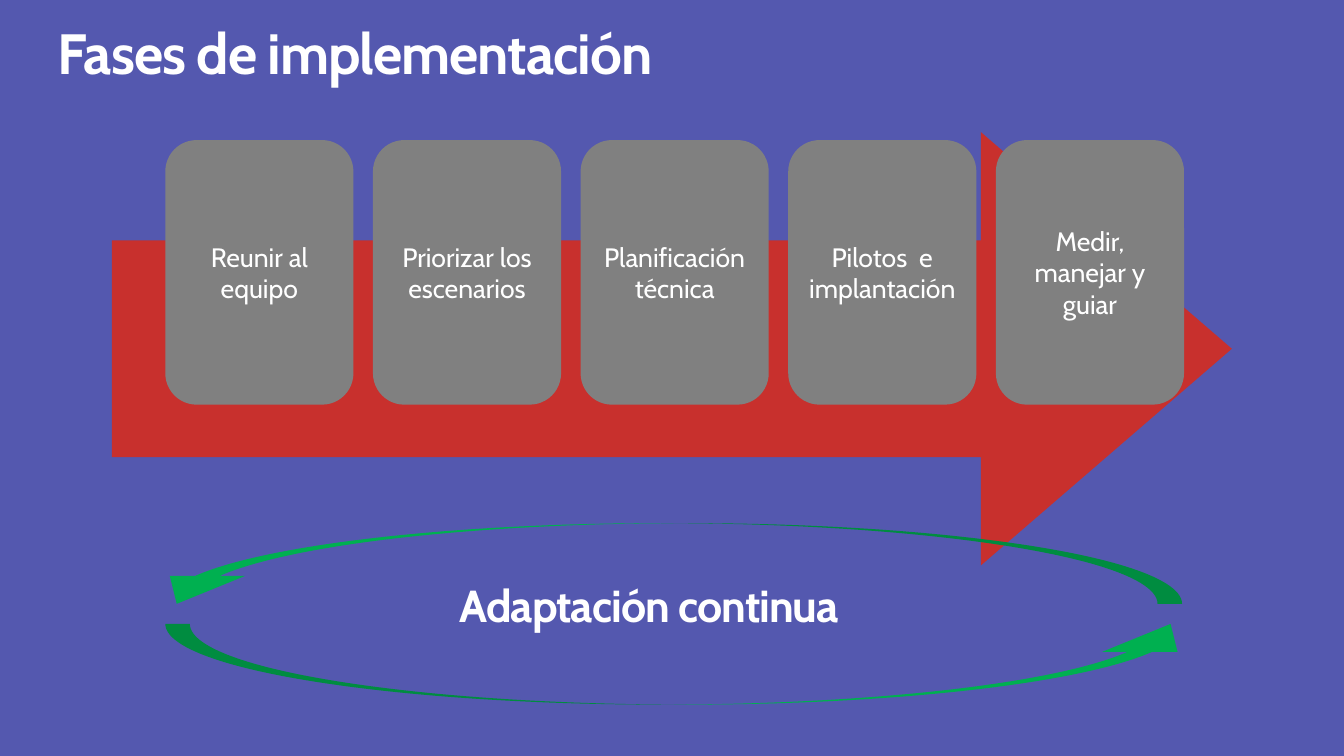
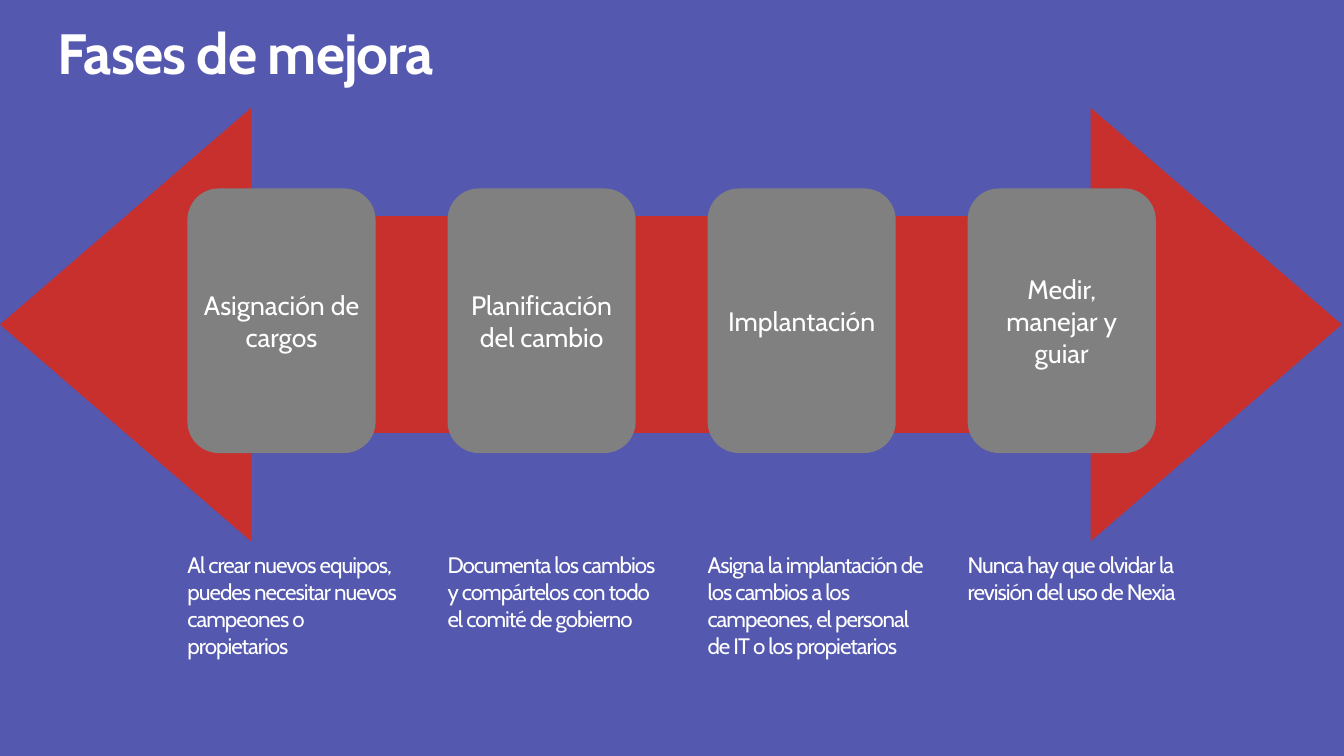
from dataclasses import dataclass

from pptx import Presentation
from pptx.dml.color import RGBColor
from pptx.enum.shapes import MSO_SHAPE
from pptx.enum.text import MSO_ANCHOR, PP_ALIGN
from pptx.util import Inches, Pt

ARROW, CARD, LOOP = (MSO_SHAPE.RIGHT_ARROW, MSO_SHAPE.ROUNDED_RECTANGLE,
                     MSO_SHAPE.CURVED_UP_ARROW)
TOP, MIDDLE = MSO_ANCHOR.TOP, MSO_ANCHOR.MIDDLE
LEFT, CENTER = PP_ALIGN.LEFT, PP_ALIGN.CENTER

WIDE, HIGH = Inches(13.33), Inches(7.5)
FONT = "Cabin"
COLORS = {"back": "5458AF", "arrow": "C8302D", "card": "808080",
          "loop": "00B050", "text": "FFFFFF"}


@dataclass(frozen=True)
class Box:
    """Place and size, in percent of the slide's width and height."""
    x: float
    y: float
    w: float
    h: float

    def emu(self) -> tuple[int, int, int, int]:
        return (int(WIDE * self.x / 100), int(HIGH * self.y / 100),
                int(WIDE * self.w / 100), int(HIGH * self.h / 100))


@dataclass(frozen=True)
class Style:
    size: float
    bold: bool = False
    track: float = 0
    align: int = LEFT
    anchor: int = TOP
    inset: float = 0
    lead: float = 1
    wrap: bool = True


@dataclass(frozen=True)
class Row:
    """A row of equal cards, a fixed step apart."""
    x: float
    y: float
    step: float
    names: tuple[str, ...]


TITLE = Style(40.5, bold=True, track=-0.8, lead=0.9)
LABEL = Style(19, align=CENTER, anchor=MIDDLE, inset=0.05)
CYCLE = Style(32, bold=True, track=-0.7, wrap=False)
NOTE = Style(16, track=-0.7)

LAST = "Medir, manejar y guiar"
PHASES = Row(12.3, 18.53, 15.45, (
    "Reunir al equipo", "Priorizar los escenarios", "Planificación técnica",
    "Pilotos  e implantación", LAST))
STEPS = Row(13.95, 24.93, 19.35, (
    "Asignación de cargos", "Planificación del cambio", "Implantación", LAST))
NOTES = (
    "Al crear nuevos equipos, puedes necesitar nuevos campeones o propietarios",
    "Documenta los cambios y compártelos con todo el comité de gobierno",
    "Asigna la implantación de los cambios a los campeones, el personal de IT "
    "o los propietarios",
    "Nunca hay que olvidar la revisión del uso de Nexia")


def paint(fill, name: str) -> None:
    fill.solid()
    fill.fore_color.rgb = RGBColor.from_string(COLORS[name])


def write(shape, text: str, style: Style) -> None:
    frame = shape.text_frame
    frame.word_wrap = style.wrap
    frame.vertical_anchor = style.anchor
    frame.margin_left = frame.margin_right = Inches(style.inset)
    frame.margin_top = frame.margin_bottom = Inches(style.inset)
    para = frame.paragraphs[0]
    para.alignment = style.align
    para.line_spacing = style.lead
    run = para.add_run()
    run.text = text
    font = run.font
    font.name, font.size, font.bold = FONT, Pt(style.size), style.bold
    font.color.rgb = RGBColor.from_string(COLORS["text"])
    if style.track:
        run._r.get_or_add_rPr().set("spc", str(round(style.track * 100)))


def label(slide, box: Box, text: str, style: Style) -> None:
    write(slide.shapes.add_textbox(*box.emu()), text, style)


def draw(slide, kind: int, box: Box, color: str,
         bends: tuple[float, ...] = (), turn: float = 0):
    shape = slide.shapes.add_shape(kind, *box.emu())
    shape.shadow.inherit = False
    paint(shape.fill, color)
    shape.line.fill.background()
    for i, bend in enumerate(bends):
        shape.adjustments[i] = bend
    shape.rotation = turn
    return shape


def arrow(slide, x: float, y: float, turn: float = 0) -> None:
    draw(slide, ARROW, Box(x, y, 83.33, 57.33), "arrow", (0.5, 0.579), turn)


def loop(slide, x: float, y: float, turn: float = 0) -> None:
    draw(slide, LOOP, Box(x, y, 77.6, 10.67), "loop",
         (0.304, 0.933, 0.346), turn)


def cards(slide, row: Row) -> None:
    for i, name in enumerate(row.names):
        box = Box(row.x + i * row.step, row.y, 14, 35)
        write(draw(slide, CARD, box, "card"), name, LABEL)


def start(deck, title: str):
    slide = deck.slides.add_slide(deck.slide_layouts[6])
    label(slide, Box(4.28, 3.33, 91.5, 10.93), title, TITLE)
    return slide


def rollout(deck) -> None:
    slide = start(deck, "Fases de implementación")
    arrow(slide, 8.33, 17.47)
    cards(slide, PHASES)
    # Cycle of two facing arrows
    loop(slide, 12.3, 82.53)
    loop(slide, 10.35, 69.2, 180)
    label(slide, Box(34.2, 76.4, 31.6, 7.2), "Adaptación continua", CYCLE)


def improve(deck) -> None:
    slide = start(deck, "Fases de mejora")
    # Two overlapping arrows form one double-headed arrow
    arrow(slide, 0, 14.27, 180)
    arrow(slide, 16.5, 14.27)
    cards(slide, STEPS)
    # One note under each card
    for i, text in enumerate(NOTES):
        label(slide, Box(STEPS.x + i * STEPS.step, 72.93, 16.2, 14.4),
              text, NOTE)


def main() -> None:
    deck = Presentation()
    deck.slide_width, deck.slide_height = WIDE, HIGH
    paint(deck.slide_master.background.fill, "back")
    rollout(deck)
    improve(deck)
    deck.save("out.pptx")


if __name__ == "__main__":
    main()
